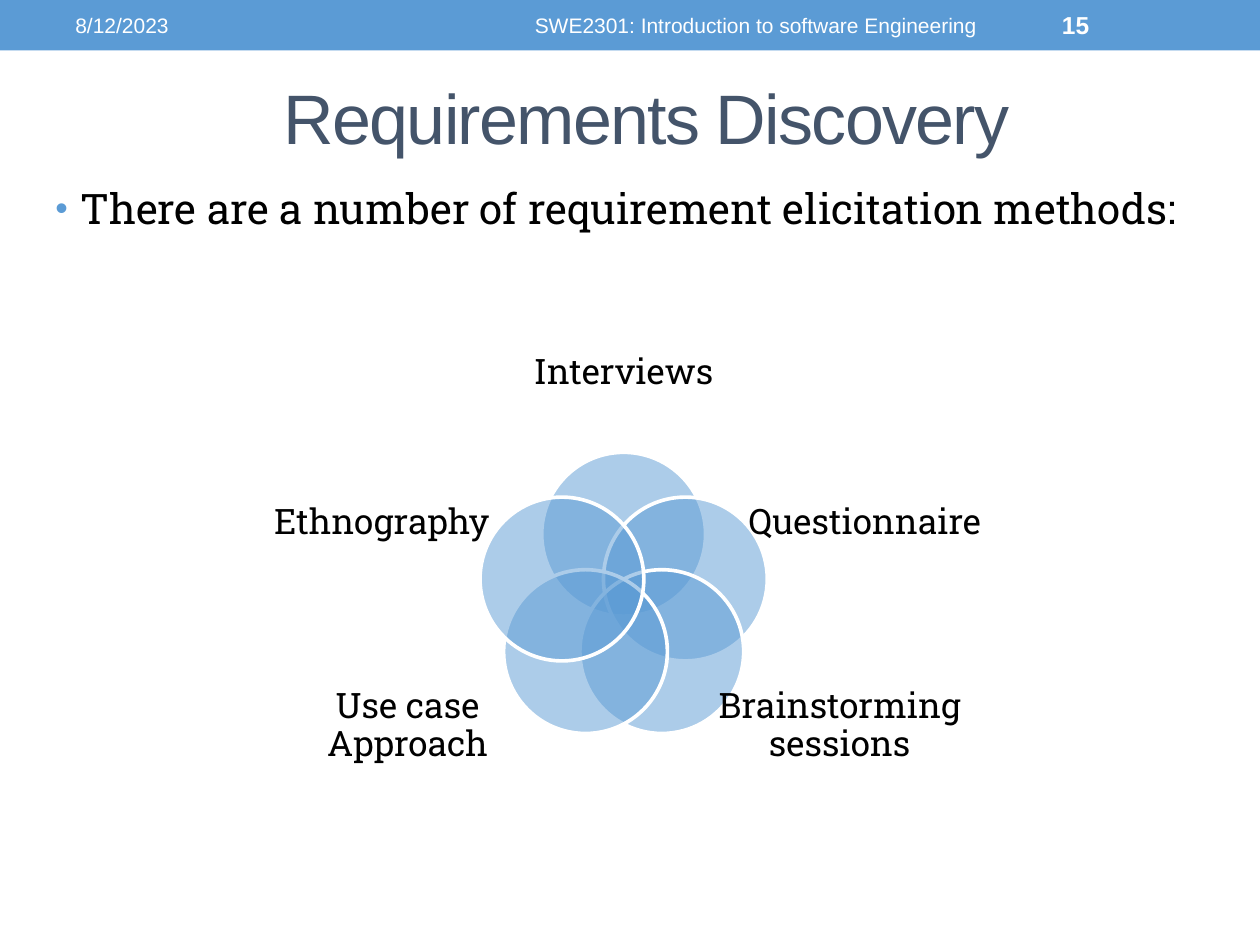
from math import cos, radians, sin

from lxml import etree
from pptx import Presentation
from pptx.dml.color import RGBColor
from pptx.enum.shapes import MSO_SHAPE
from pptx.enum.text import MSO_ANCHOR, MSO_AUTO_SIZE, PP_ALIGN
from pptx.oxml.ns import qn
from pptx.util import Inches, Pt

BLUE = RGBColor(0x5B, 0x9B, 0xD5)
SLATE = RGBColor(0x44, 0x54, 0x6A)
WHITE = RGBColor(0xFF, 0xFF, 0xFF)
BLACK = RGBColor(0, 0, 0)
SANS, SLAB = "Arial", "Roboto Slab"
LEFT, CENTER, JUSTIFY = PP_ALIGN.LEFT, PP_ALIGN.CENTER, PP_ALIGN.JUSTIFY
TOP, MIDDLE = MSO_ANCHOR.TOP, MSO_ANCHOR.MIDDLE
TITLE_ONLY = 5

VENN_CENTER = (4.95, 4.755)
VENN_RADIUS = 0.515
CIRCLE_SIZE = 1.3
# Clockwise from the top: label and its left, top, width, height
METHODS = [
    ("Interviews", (4.2, 2.53, 1.5, 0.87)),
    ("Questionnaire", (5.86, 3.68, 2.01, 0.94)),
    ("Brainstorming sessions", (5.42, 5.29, 2.49, 0.94)),
    ("Use case Approach", (2.56, 5.29, 1.35, 0.94)),
    ("Ethnography", (2.07, 3.68, 1.92, 0.94)),
]


def inches(place):
    return [Inches(value) for value in place]


def add_bullet(para):
    props = para._p.get_or_add_pPr()
    props.set("marL", str(Inches(0.2)))
    props.set("indent", str(Inches(-0.2)))
    color = etree.SubElement(props, qn("a:buClr"))
    etree.SubElement(color, qn("a:srgbClr"), val=str(BLUE))
    etree.SubElement(props, qn("a:buSzPct"), val="85000")
    etree.SubElement(props, qn("a:buFont"), typeface=SANS)
    etree.SubElement(props, qn("a:buChar"), char="•")


def write(shape, text, size, color, font=SANS, align=LEFT, anchor=MIDDLE,
          bold=False, bullet=False, margins=(0.1, 0.05), tracking=None,
          line_spacing=None, space_after=None):
    frame = shape.text_frame
    frame.word_wrap = True
    frame.auto_size = MSO_AUTO_SIZE.NONE
    frame.vertical_anchor = anchor
    frame.margin_left = frame.margin_right = Inches(margins[0])
    frame.margin_top = frame.margin_bottom = Inches(margins[1])
    para = frame.paragraphs[0]
    para.alignment = align
    if line_spacing:
        para.line_spacing = line_spacing
    if space_after:
        para.space_after = Pt(space_after)
    if bullet:
        add_bullet(para)
    span = para.add_run()
    span.text = text
    span.font.name, span.font.size = font, Pt(size)
    span.font.color.rgb, span.font.bold = color, bold
    if tracking:
        span._r.get_or_add_rPr().set("spc", str(int(tracking * 100)))


class SlideBuilder:
    def __init__(self, page):
        self.page = page

    def title(self, text, place):
        box = self.page.shapes.title
        box.left, box.top, box.width, box.height = inches(place)
        write(box, text, 40, SLATE, align=CENTER, tracking=-1)

    def text(self, text, place, size, color, parent=None, **style):
        shapes = (parent or self.page).shapes
        write(shapes.add_textbox(*inches(place)), text, size, color, **style)

    def banner(self, place):
        bar = self.page.shapes.add_shape(MSO_SHAPE.RECTANGLE, *inches(place))
        bar.shadow.inherit = False
        bar.fill.solid()
        bar.fill.fore_color.rgb = BLUE
        bar.line.fill.background()

    def circle(self, parent, center_x, center_y):
        half = CIRCLE_SIZE / 2
        place = (center_x - half, center_y - half, CIRCLE_SIZE, CIRCLE_SIZE)
        circle = parent.shapes.add_shape(MSO_SHAPE.OVAL, *inches(place))
        circle.shadow.inherit = False
        circle.fill.solid()
        circle.fill.fore_color.rgb = BLUE
        tint = circle._element.spPr.find(qn("a:solidFill"))[0]
        etree.SubElement(tint, qn("a:alpha"), val="50000")
        circle.line.color.rgb = WHITE
        circle.line.width = Pt(2.08)

    def venn(self, methods):
        group = self.page.shapes.add_group_shape()
        for index, (label, place) in enumerate(methods):
            angle = radians(index * 360 / len(methods))
            self.circle(group, VENN_CENTER[0] + VENN_RADIUS * sin(angle),
                        VENN_CENTER[1] - VENN_RADIUS * cos(angle))
            self.text(label, place, 20, BLACK, parent=group, font=SLAB,
                      align=CENTER, margins=(0, 0), line_spacing=0.9,
                      space_after=7)


def main():
    deck = Presentation()
    deck.slide_width, deck.slide_height = Inches(10), Inches(7.5)
    page = deck.slides.add_slide(deck.slide_layouts[TITLE_ONLY])
    slide = SlideBuilder(page)
    slide.banner((0, 0, 10, 0.4))
    slide.title("Requirements Discovery", (0.63, 0.45, 9, 0.95))
    slide.text("There are a number of requirement elicitation methods:",
               (0.34, 1.4, 9.42, 5.8), 24, BLACK, font=SLAB, align=JUSTIFY,
               anchor=TOP, bullet=True)
    slide.text("SWE2301: Introduction to software Engineering",
               (3.75, 0.02, 4.5, 0.36), 12, WHITE, align=CENTER)
    slide.text("15", (8.33, 0.02, 1.17, 0.36), 14, WHITE, bold=True)
    slide.venn(METHODS)
    slide.text("8/12/2023", (0.5, 0.02, 3.17, 0.36), 12, WHITE)
    deck.save("out.pptx")


if __name__ == "__main__":
    main()
